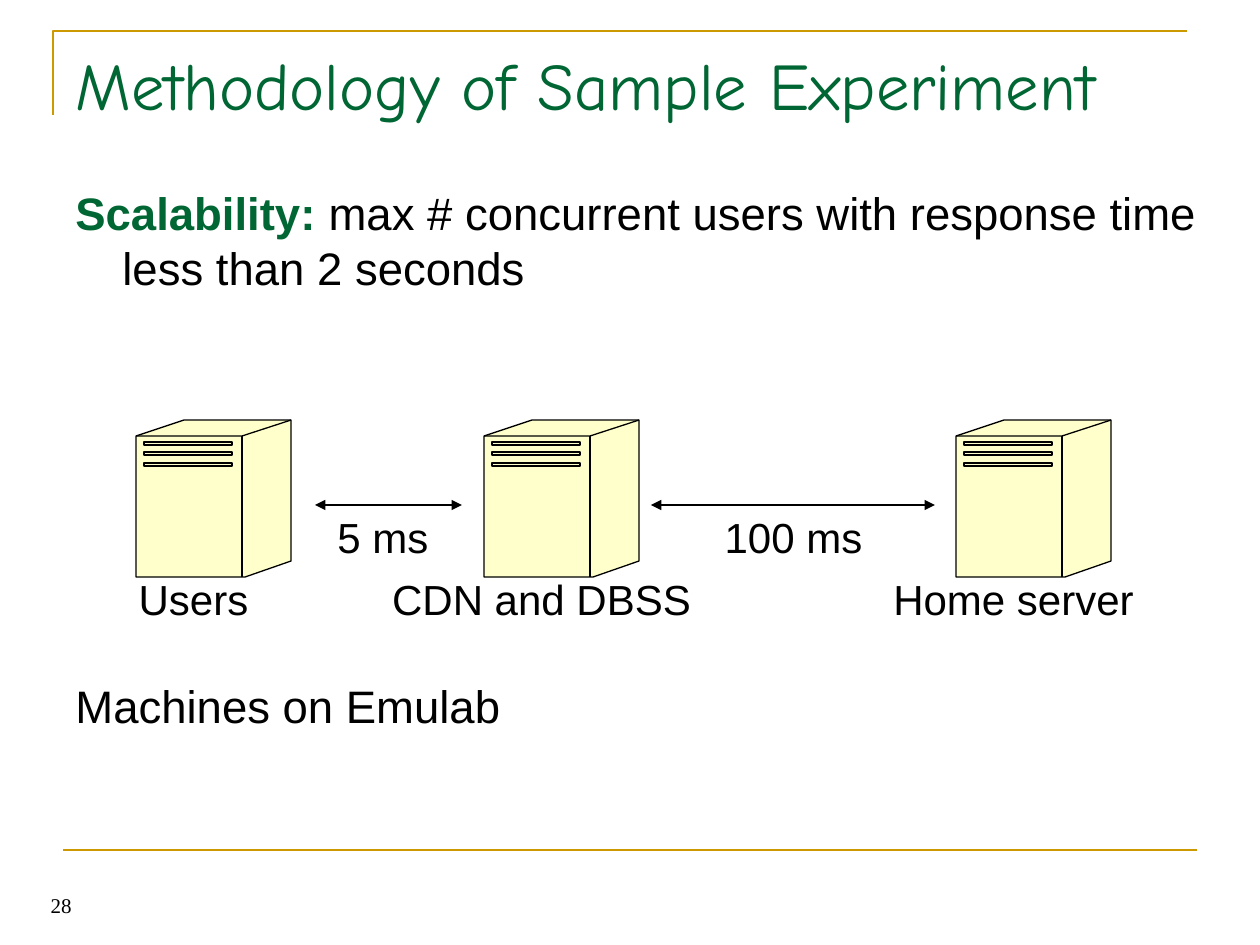
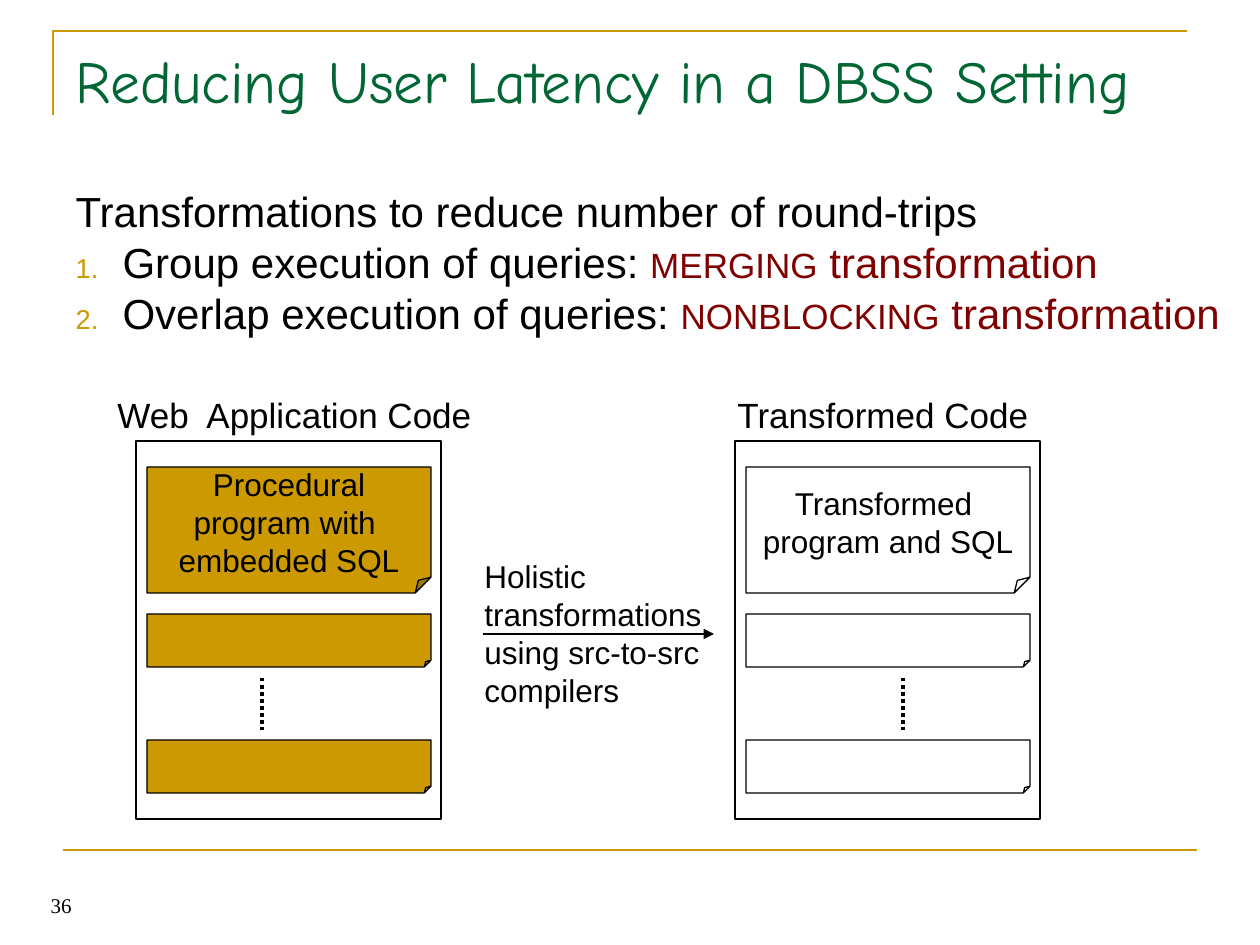
"""Build two lecture slides on a database scalability service."""
import dataclasses

import lxml.etree
import pptx
import pptx.dml.color
import pptx.enum.dml
import pptx.enum.shapes
import pptx.enum.text
import pptx.oxml.ns
import pptx.util

SCALE = 914400 / 126
SHAPE = pptx.enum.shapes.MSO_SHAPE
ALIGN = pptx.enum.text.PP_ALIGN
ANCHOR = pptx.enum.text.MSO_ANCHOR
qn = pptx.oxml.ns.qn


@dataclasses.dataclass(frozen=True)
class Theme:
    """Hold the colours, fonts and type sizes of the deck."""
    black: str = "000000"
    gold: str = "CC9900"
    green: str = "006633"
    maroon: str = "800000"
    cream: str = "FFFFCC"
    title_font: str = "Comic Neue"
    text_font: str = "Arial"
    number_font: str = "Times New Roman"
    title: int = 38
    long_title: int = 34
    statement: int = 26
    text: int = 24
    caption: int = 20
    small: int = 18
    number: int = 12


THEME = Theme()


def px(length):
    """Turn px into EMU."""
    return pptx.util.Emu(round(length * SCALE))


def rgb(colour):
    """Turn a hex string into a colour."""
    return pptx.dml.color.RGBColor.from_string(colour)


def apply(target, values):
    """Set each attribute named in a dict of format values."""
    for name, value in values.items():
        setattr(target, name, value)


def place(shape, box):
    """Move a shape into a box of left, top, width and height."""
    apply(shape, dict(zip(("left", "top", "width", "height"), map(px, box))))


def add_span(para, text, size, colour=THEME.black, font=THEME.text_font, bold=False):
    """Add one formatted run to a paragraph."""
    span = para.add_run()
    span.text = text
    apply(span.font, {"size": pptx.util.Pt(size), "name": font, "bold": bold})
    span.font.color.rgb = rgb(colour)


def set_frame(shape, anchor=ANCHOR.TOP, wrap=True):
    """Format the text frame of a shape and return it."""
    frame = shape.text_frame
    apply(frame, {"word_wrap": wrap, "vertical_anchor": anchor,
                  "auto_size": pptx.enum.text.MSO_AUTO_SIZE.NONE})
    return frame


def hang(para):
    """Give a paragraph a hanging indent."""
    properties = para._p.get_or_add_pPr()
    properties.set("marL", str(px(47)))
    properties.set("indent", str(px(-47)))
    return properties


def paint(shape, fill=None, line=None, width=0.75):
    """Set the fill and outline of a shape, or remove them."""
    shape.shadow.inherit = False
    for part, colour in ((shape.fill, fill), (shape.line.fill, line)):
        if colour:
            part.solid()
            part.fore_color.rgb = rgb(colour)
        else:
            part.background()
    if line:
        shape.line.width = pptx.util.Pt(width)


def add_text(page, box, spans, align=ALIGN.LEFT, anchor=ANCHOR.TOP, wrap=True):
    """Add a text box of one paragraph and return the paragraph."""
    shape = page.shapes.add_textbox(*map(px, box))
    para = set_frame(shape, anchor, wrap).paragraphs[0]
    para.alignment = align
    for span in spans:
        add_span(para, *span)
    return para


def add_line(page, start, end, colour=THEME.black, width=1.5, dash=None, arrows=()):
    """Add a straight line with optional dashes and arrowheads."""
    line = page.shapes.add_connector(
        pptx.enum.shapes.MSO_CONNECTOR.STRAIGHT, *map(px, start + end))
    line.line.color.rgb = rgb(colour)
    apply(line.line, {"width": pptx.util.Pt(width), "dash_style": dash})
    properties = line._element.spPr
    for arrow in arrows:
        lxml.etree.SubElement(properties.find(qn("a:ln")), qn(arrow), type="triangle")
    lxml.etree.SubElement(properties, qn("a:effectLst"))


def add_outline(page, origin, contours, closed=False, **look):
    """Add one freeform whose contours are px points from an origin."""
    builder = page.shapes.build_freeform(*contours[0][0], scale=SCALE)
    for index, (first, *others) in enumerate(contours):
        if index:
            builder.move_to(*first)
        builder.add_line_segments(others, close=closed)
    paint(builder.convert_to_shape(*map(px, origin)), **look)


def add_page(deck, layout, title, title_box, title_size, number):
    """Add a slide with gold rules, title and page number."""
    page = deck.slides.add_slide(deck.slide_layouts[layout])
    add_outline(page, (53, 31), [[(0, 84), (0, 0), (1134, 0)]],
                line=THEME.gold, width=1.5)
    add_line(page, (63, 850), (1197, 850), THEME.gold)
    add_text(page, (0, 861, 84, 63),
             [(number, THEME.number, THEME.black, THEME.number_font)],
             ALIGN.RIGHT, ANCHOR.BOTTOM)
    place(page.shapes.title, title_box)
    para = set_frame(page.shapes.title).paragraphs[0]
    para.alignment = ALIGN.LEFT
    add_span(para, title, title_size, THEME.green, THEME.title_font)
    return page


def add_server(page, left, top, label):
    """Draw a server tower with its label below."""
    add_outline(page, (left, top),
                [[(0, 16), (48, 0), (155, 0), (155, 141), (109, 157), (0, 157)]],
                closed=True, fill=THEME.cream, line=THEME.black)
    edges = [[(0, 16), (106, 16), (155, 0)], [(106, 16), (106, 157)]]
    slots = [[(8, y), (96, y), (96, y + 3), (8, y + 3), (8, y)] for y in (22, 32, 43)]
    add_outline(page, (left, top), edges + slots, line=THEME.black)
    add_text(page, (left + 10, top + 169, 95, 20), [(label, THEME.text)],
             ALIGN.CENTER, ANCHOR.MIDDLE, False)


def add_link(page, start, end, top, delay, text_box):
    """Draw a two-way arrow with its delay below."""
    add_line(page, (start, top), (end, top), arrows=("a:headEnd", "a:tailEnd"))
    offset, width, align = text_box
    add_text(page, (start + offset, top, width, 63), [(delay, THEME.text)], align)


def add_card(page, box, fill, lines=()):
    """Draw a card with a folded corner and centred lines of text."""
    card = page.shapes.add_shape(SHAPE.FOLDED_CORNER, *map(px, box))
    guides = next(card._element.spPr.iter(qn("a:avLst")))
    lxml.etree.SubElement(guides, qn("a:gd"), name="adj", fmla="val 12500")
    paint(card, fill, THEME.black)
    frame = set_frame(card, ANCHOR.MIDDLE, False)
    for index, line in enumerate(lines):
        para = frame.add_paragraph() if index else frame.paragraphs[0]
        para.alignment = ALIGN.CENTER
        add_span(para, line, THEME.small)


def add_code_panel(page, box, caption, caption_shift, lines, fill, dots):
    """Draw a captioned panel holding a stack of program cards."""
    left, top, width, height = box
    for offset, card_height, text in ((26, 126, lines), (173, 53, ()), (299, 53, ())):
        add_card(page, (left + 11, top + offset, width - 21, card_height), fill, text)
    add_line(page, (left + dots, top + 237), (left + dots, top + 289), width=2,
             dash=pptx.enum.dml.MSO_LINE.ROUND_DOT)
    add_text(page, (left + caption_shift, top - 54, 399, 55), [(caption, THEME.caption)])
    paint(page.shapes.add_shape(SHAPE.RECTANGLE, *map(px, box)),
          line=THEME.black, width=1)


def add_steps(page, box, paragraphs):
    """Fill the body with a lead line followed by numbered steps."""
    body = page.placeholders[1]
    place(body, box)
    frame = set_frame(body)
    for index, spans in enumerate(paragraphs):
        para = frame.add_paragraph() if index else frame.paragraphs[0]
        properties = hang(para)
        if index:
            colour = lxml.etree.SubElement(properties, qn("a:buClr"))
            lxml.etree.SubElement(colour, qn("a:srgbClr"), val=THEME.gold)
            lxml.etree.SubElement(properties, qn("a:buSzPct"), val="65000")
            lxml.etree.SubElement(properties, qn("a:buFont"), typeface=THEME.text_font)
            lxml.etree.SubElement(properties, qn("a:buAutoNum"), type="arabicPeriod")
        else:
            lxml.etree.SubElement(properties, qn("a:buNone"))
        apply(para, {"line_spacing": 0.8, "space_before": pptx.util.Pt(6 if index else 0)})
        for span in spans:
            add_span(para, *span)


def build_methodology(deck):
    """Build the slide on the experiment set-up."""
    page = add_page(deck, 5, "Methodology of Sample Experiment",
                    (63, 38, 1134, 157), THEME.title, "28")
    for left, label in ((136, "Users"), (484, "CDN and DBSS"), (956, "Home server")):
        add_server(page, left, 420, label)
    add_link(page, 315, 462, 505, "5 ms", (10, 136, ALIGN.LEFT))
    add_link(page, 651, 935, 505, "100 ms", (53, 179, ALIGN.CENTER))
    statements = (
        (179, [("Scalability:", THEME.statement, THEME.green, THEME.text_font, True),
               (" max # concurrent users with response time less than 2 seconds",
                THEME.statement)]),
        (672, [("Machines on Emulab", THEME.statement)]))
    for top, spans in statements:
        hang(add_text(page, (63, top, 1176, 116), spans))


def build_latency(deck):
    """Build the slide on program transformations."""
    page = add_page(deck, 1, "Reducing User Latency in a DBSS Setting",
                    (63, 38, 1197, 77), THEME.long_title, "36")
    steps = (("Group execution of queries: ", "MERGING"),
             ("Overlap execution of queries: ", "NONBLOCKING"))
    lead = [("Transformations to reduce number of round-trips", THEME.text)]
    add_steps(page, (63, 189, 1176, 168), [lead] + [
        [(action, THEME.text), (name, THEME.caption, THEME.maroon),
         (" transformation", THEME.text, THEME.maroon)] for action, name in steps])
    add_code_panel(page, (136, 441, 305, 378), "Web  Application Code", -31,
                   ("Procedural", "program with ", "embedded SQL"), THEME.gold, 126)
    add_line(page, (483, 634), (714, 634), arrows=("a:tailEnd",))
    add_text(page, (472, 551, 262, 164),
             [("Holistic transformations using src-to-src compilers", THEME.small)])
    add_code_panel(page, (735, 441, 305, 378), "Transformed Code", -10,
                   ("Transformed ", "program and SQL"), None, 168)


def main():
    """Build and save the deck."""
    deck = pptx.Presentation()
    apply(deck, {"slide_width": px(1260), "slide_height": px(945)})
    build_methodology(deck)
    build_latency(deck)
    deck.save("out.pptx")


if __name__ == "__main__":
    main()
